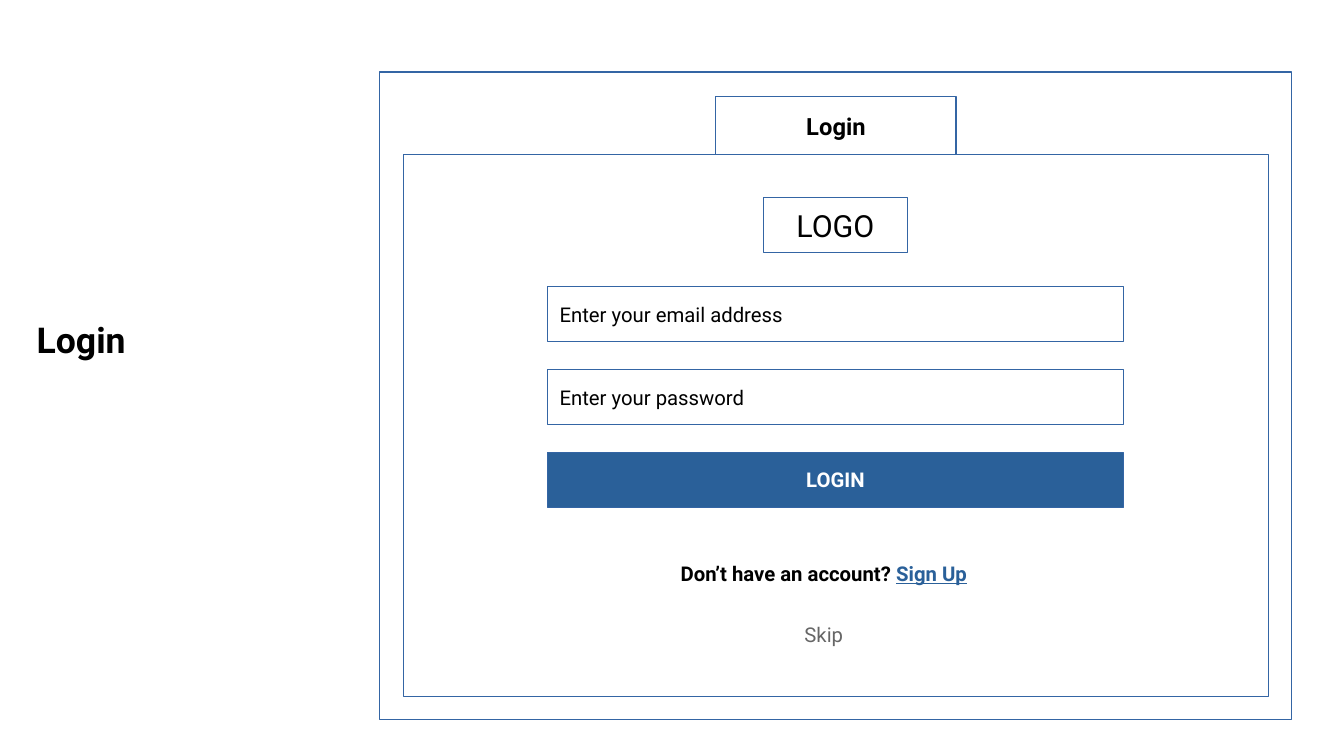
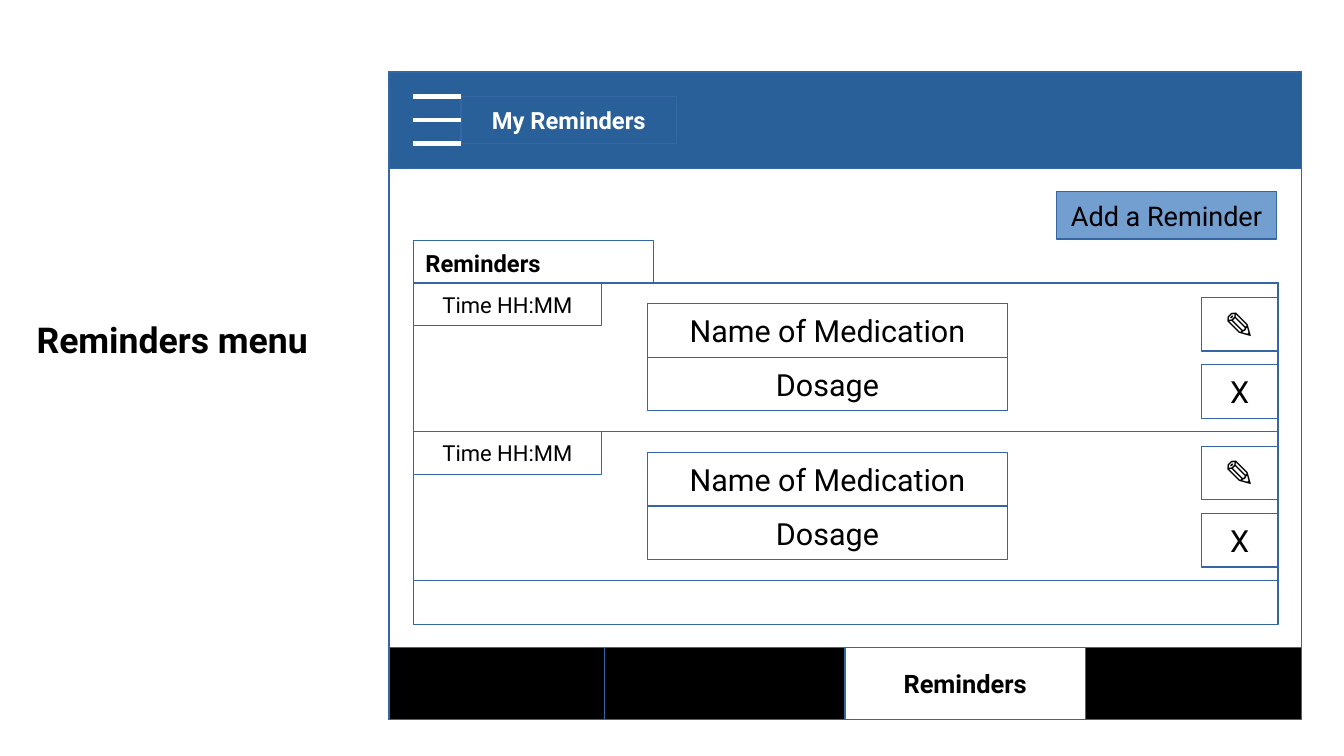
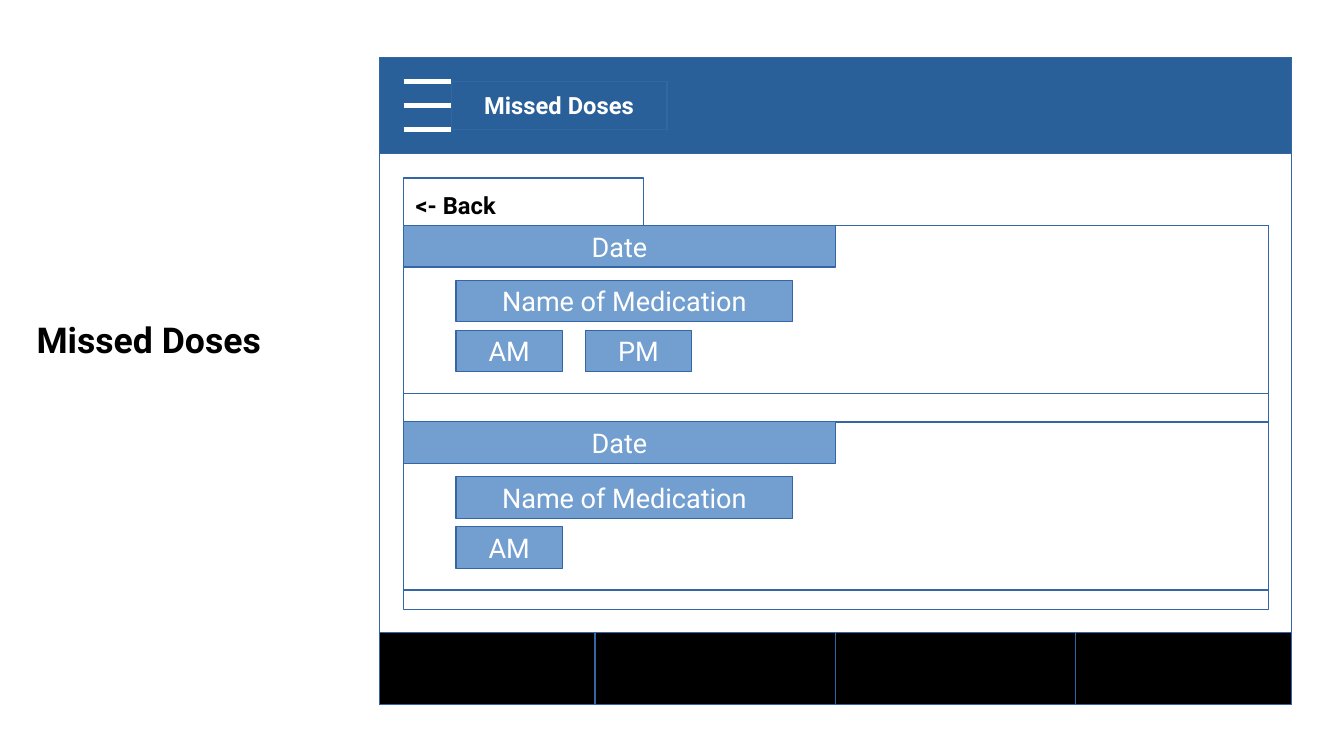
from itertools import accumulate

from pptx import Presentation
from pptx.dml.color import RGBColor
from pptx.enum.shapes import MSO_CONNECTOR, MSO_SHAPE
from pptx.enum.text import MSO_ANCHOR, MSO_AUTO_SIZE, PP_ALIGN
from pptx.oxml.ns import qn
from pptx.util import Inches, Pt
from lxml.etree import SubElement

FONT = "Roboto"
BLACK, WHITE, GREY = "000000", "FFFFFF", "666666"
BLUE, PALE, EDGE = "2A6099", "729FCF", "3465A4"
WIDE, HIGH = 7.48, 5.31
PAD, INNER = 0.2, 7.09
TABS = (1.77, 1.97, 1.97, 1.77)


def rgb(code):
    """Turn a hex string into a colour."""
    return RGBColor.from_string(code)


def write(shape, text, size=18, color=BLACK, bold=False, under=False,
          align=PP_ALIGN.CENTER, anchor=MSO_ANCHOR.MIDDLE):
    """Add one formatted run to the first paragraph of a shape."""
    frame = shape.text_frame
    frame.word_wrap = True
    frame.vertical_anchor = anchor
    para = frame.paragraphs[0]
    para.alignment = align
    run = para.add_run()
    run.text = text
    font = run.font
    font.name, font.size = FONT, Pt(size)
    font.bold, font.underline = bold, under
    font.color.rgb = rgb(color)


def box(slide, left, top, width, height, fill=WHITE, edge=EDGE, text="", **style):
    """Draw a rectangle with a hairline edge and optional text."""
    shape = slide.shapes.add_shape(MSO_SHAPE.RECTANGLE, Inches(left), Inches(top),
                                   Inches(width), Inches(height))
    shape.shadow.inherit = False
    if fill:
        shape.fill.solid()
        shape.fill.fore_color.rgb = rgb(fill)
    else:
        shape.fill.background()
    if edge:
        shape.line.color.rgb = rgb(edge)
        shape.line.width = Pt(0)
    else:
        shape.line.fill.background()
    if text:
        write(shape, text, **style)
    return shape


def start(deck, name):
    """Add a slide with its name at the left."""
    slide = deck.slides.add_slide(deck.slide_layouts[5])
    title = slide.shapes.title
    title.left, title.top = Inches(0.2), Inches(2.56)
    title.width, title.height = Inches(2.76), Inches(0.42)
    title.text_frame.auto_size = MSO_AUTO_SIZE.NONE
    write(title, name, size=21, bold=True, align=PP_ALIGN.LEFT, anchor=MSO_ANCHOR.TOP)
    return slide


def header(slide, left, top, name):
    """Draw the blue app bar with its menu icon and name."""
    box(slide, left, top, WIDE, 0.79, fill=BLUE)
    label = box(slide, left + 0.59, top + PAD, 1.77, 0.39, fill=None,
                text=name, size=14, color=WHITE, bold=True)
    for step in range(3):
        level = Inches(top + PAD + step * 0.195)
        bar = slide.shapes.add_connector(MSO_CONNECTOR.STRAIGHT, Inches(left + PAD), level,
                                         Inches(left + 0.59), level)
        bar.line.color.rgb = rgb(WHITE)
        bar.line.width = Pt(2.83)
        SubElement(bar._element.spPr, qn("a:effectLst"))
        if step == 1:
            bar.end_connect(label, 1)


def footer(slide, left, top, names):
    """Draw the row of tabs, white where a tab has a name."""
    box(slide, left, top, WIDE, 0.59, fill=BLACK)
    for shift, width, name in zip(accumulate(TABS, initial=0), TABS, names):
        box(slide, left + shift, top, width, 0.59, fill=WHITE if name else BLACK,
            text=name, size=15, bold=True)


def screen(slide, left, top, name, tabs):
    """Draw an app screen with its header and footer."""
    box(slide, left, top, WIDE, HIGH)
    header(slide, left, top, name)
    footer(slide, left, top + 4.72, tabs)


def panel(slide, left, top, height, name, rise):
    """Draw a list panel with a heading tab on top of it."""
    box(slide, left, top, INNER, height)
    box(slide, left, top - rise, 1.97, rise, text=name, size=14, bold=True,
        align=PP_ALIGN.LEFT, anchor=MSO_ANCHOR.BOTTOM)


def alarm(slide, left, top):
    """Draw one reminder row with its edit and delete buttons."""
    box(slide, left, top, INNER, 1.22)
    box(slide, left, top, 1.54, 0.35, text="Time HH:MM", size=13)
    for step, text in enumerate(("Name of Medication", "Dosage")):
        box(slide, left + 1.92, top + 0.17 + step * 0.44, 2.95, 0.44, text=text)
    for step, (text, size) in enumerate((("✎", 22), ("X", 18))):
        box(slide, left + 6.46, top + 0.12 + step * 0.55, 0.63, 0.44, text=text, size=size)


def missed(slide, left, top, times):
    """Draw one missed dose with a chip for each time."""
    chip = dict(height=0.34, fill=PALE, size=16, color=WHITE)
    box(slide, left, top, INNER, 1.38)
    box(slide, left, top, 3.54, text="Date", **chip)
    box(slide, left + 0.43, top + 0.45, 2.76, text="Name of Medication", **chip)
    for step, time in enumerate(times):
        box(slide, left + 0.43 + step * 1.06, top + 0.86, 0.87, text=time, **chip)


def form(slide, left, top):
    """Draw the login form inside its panel."""
    box(slide, left, top, INNER, 4.44)
    box(slide, left + 2.56, top - 0.48, 1.97, 0.48, text="Login", size=14, bold=True)
    box(slide, left + 2.95, top + 0.35, 1.18, 0.45, text="LOGO")
    fields = (
        ("Enter your email address", dict(align=PP_ALIGN.LEFT)),
        ("Enter your password", dict(align=PP_ALIGN.LEFT)),
        ("LOGIN", dict(fill=BLUE, color=WHITE, bold=True)),
    )
    for step, (text, style) in enumerate(fields):
        box(slide, left + 1.18, top + 1.08 + step * 0.68, 4.72, 0.45,
            text=text, size=12, **style)
    offer = box(slide, left + 1.38, top + 3.21, 4.13, 0.45, edge=None,
                text="Don’t have an account? ", size=12, bold=True)
    write(offer, "Sign Up", size=12, color=BLUE, bold=True, under=True)
    box(slide, left + 1.38, top + 3.71, 4.13, 0.45, edge=None,
        text="Skip", size=12, color=GREY)


def login(deck, left=3.11, top=0.59):
    """Build the login slide."""
    slide = start(deck, "Login")
    box(slide, left, top, WIDE, HIGH)
    form(slide, left + PAD, top + 0.68)


def alarms(deck, left=3.19, top=0.59):
    """Build the reminders slide."""
    slide = start(deck, "Reminders menu")
    screen(slide, left, top, "My Reminders", ("", "", "Reminders", ""))
    box(slide, left + 5.47, top + 0.98, 1.81, 0.39, fill=PALE,
        text="Add a Reminder", size=16)
    panel(slide, left + PAD, top + 1.73, 2.8, "Reminders", 0.35)
    for step in range(2):
        alarm(slide, left + PAD, top + 1.73 + step * 1.22)


def doses(deck, left=3.11, top=0.47):
    """Build the missed doses slide."""
    slide = start(deck, "Missed Doses")
    screen(slide, left, top, "Missed Doses", ("", "", "", ""))
    panel(slide, left + PAD, top + 1.38, 3.15, "<- Back", 0.39)
    for step, times in enumerate((("AM", "PM"), ("AM",))):
        missed(slide, left + PAD, top + 1.38 + step * 1.61, times)


def main():
    """Build and save the deck."""
    deck = Presentation()
    deck.slide_width, deck.slide_height = Inches(11.02), Inches(6.2)
    for build in (login, alarms, doses):
        build(deck)
    deck.save("out.pptx")


if __name__ == "__main__":
    main()
